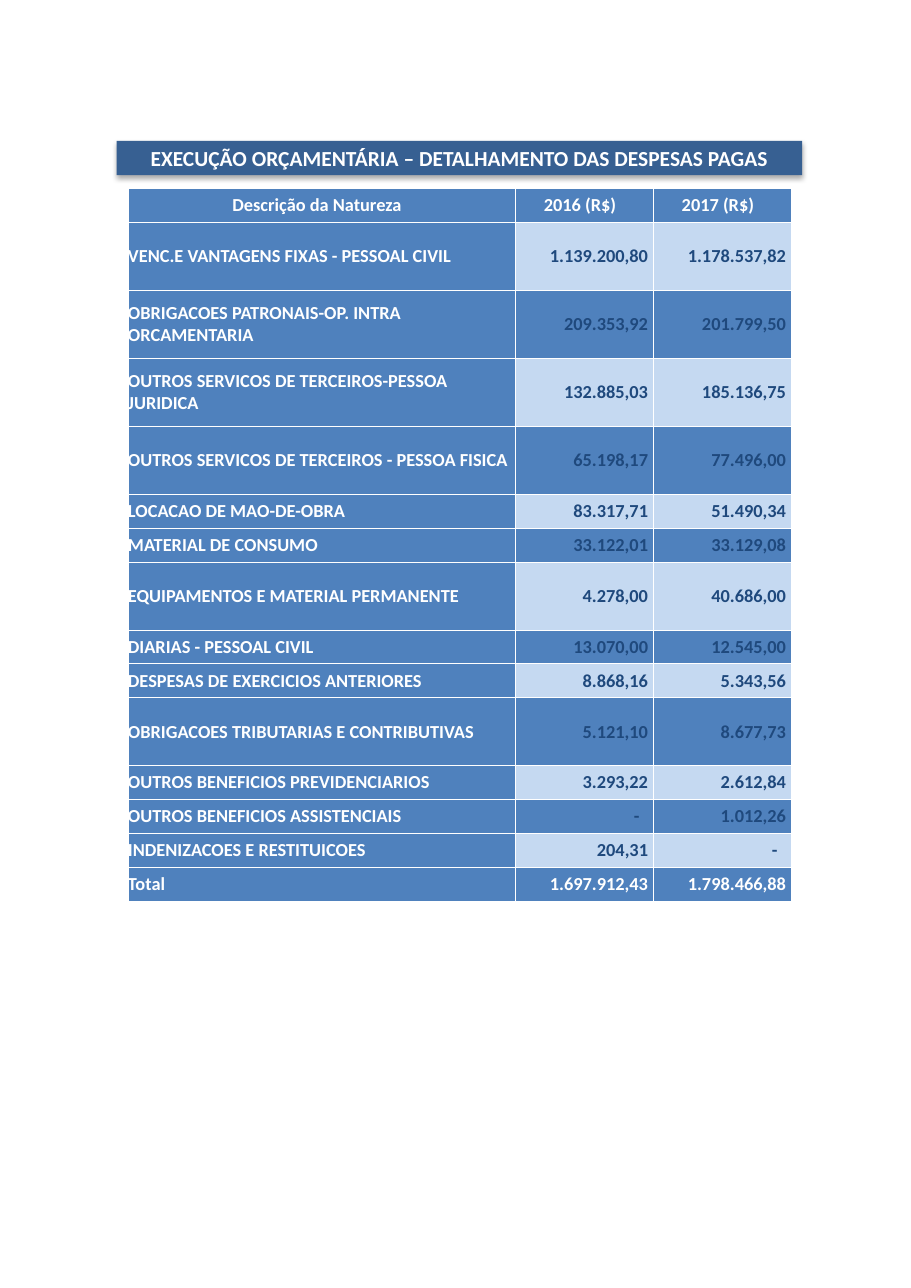
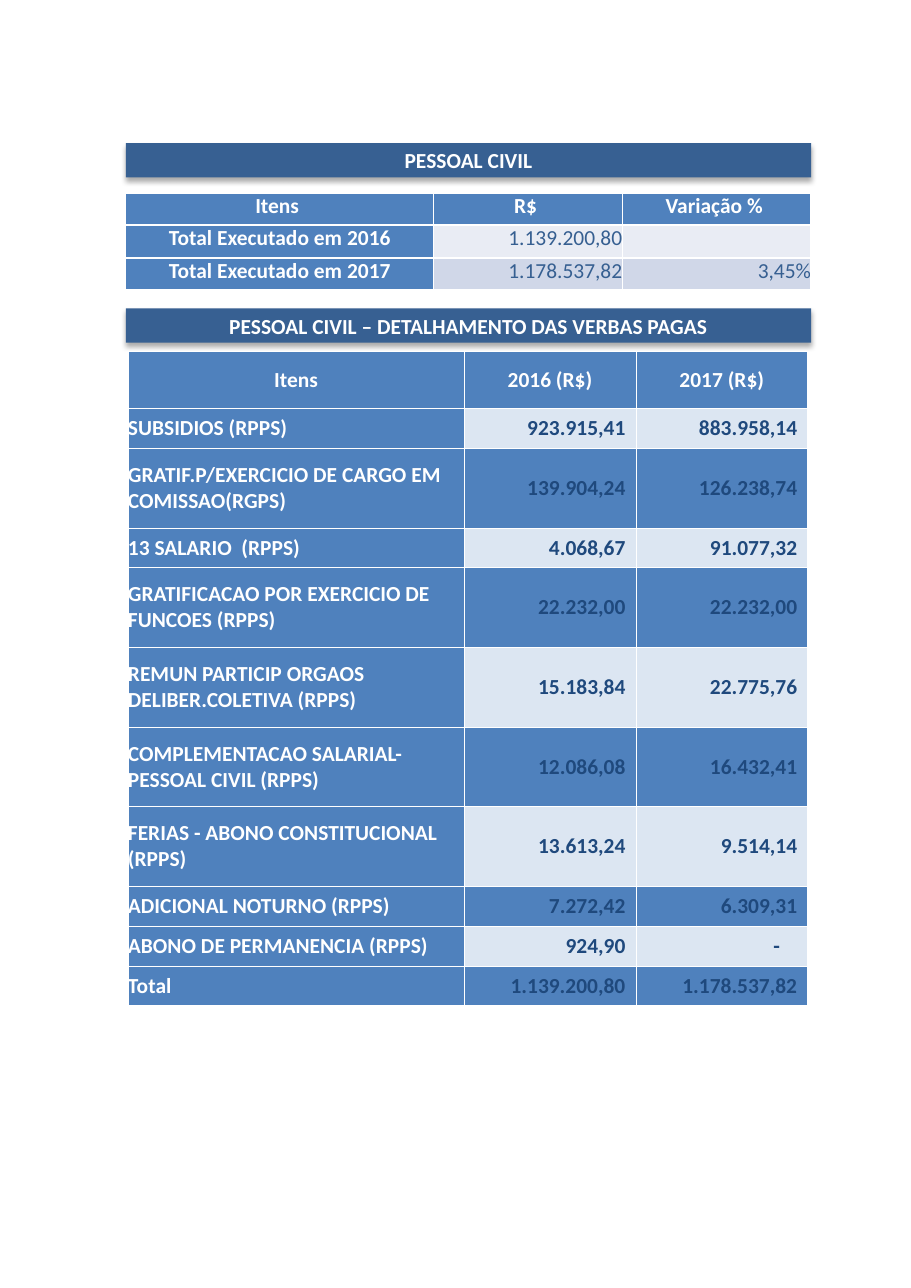
from lxml.etree import SubElement
from pptx import Presentation
from pptx.dml.color import RGBColor
from pptx.enum.shapes import MSO_SHAPE
from pptx.enum.text import MSO_ANCHOR, MSO_AUTO_SIZE, PP_ALIGN
from pptx.oxml import parse_xml
from pptx.oxml.ns import nsdecls, qn
from pptx.util import Cm, Pt

FONT = "Calibri"
WHITE = RGBColor(0xFF, 0xFF, 0xFF)
BAND_BLUE = RGBColor(0x37, 0x60, 0x92)
CELL_BLUE = RGBColor(0x4F, 0x81, 0xBD)
NAVY = RGBColor(0x1F, 0x49, 0x7D)
STEEL = RGBColor(0x36, 0x5F, 0x91)
SKY = RGBColor(0xC5, 0xD9, 0xF1)
PALE = RGBColor(0xDC, 0xE6, 0xF2)
MIST = RGBColor(0xE9, 0xEC, 0xF4)
HAZE = RGBColor(0xD0, 0xD7, 0xE8)

SHADOW = (
    f'<a:effectLst {nsdecls("a")}><a:outerShdw blurRad="44450" dist="27940" dir="5400000" '
    'rotWithShape="0"><a:srgbClr val="000000"><a:alpha val="32000"/></a:srgbClr>'
    "</a:outerShdw></a:effectLst>"
)


def style_band(box, text, left, top):
    """Turn a title or rectangle into a dark blue heading band with a soft shadow."""
    box.left, box.top, box.width, box.height = Cm(left), Cm(top), Cm(15.8), Cm(0.79)
    box.fill.solid()
    box.fill.fore_color.rgb = BAND_BLUE
    box.line.fill.background()
    box._element.spPr.append(parse_xml(SHADOW))
    frame = box.text_frame
    frame.text = text
    frame.word_wrap = True
    frame.auto_size = MSO_AUTO_SIZE.NONE
    frame.vertical_anchor = MSO_ANCHOR.MIDDLE
    para = frame.paragraphs[0]
    para.alignment = PP_ALIGN.CENTER
    font = para.runs[0].font
    font.name, font.size, font.bold, font.color.rgb = FONT, Pt(14), True, WHITE


def add_grid(page, left, top, widths, heights, rows, fills, size=14, number_color=NAVY,
             number_bold=True, number_margin=0.0, dash_margin=0.0, header_margin=0.0,
             label_align=PP_ALIGN.LEFT, anchor=MSO_ANCHOR.MIDDLE, border=0.5):
    """Add a table whose number cells take the body fills in turn."""
    frame = page.shapes.add_table(len(rows), len(widths), Cm(left), Cm(top),
                                  Cm(sum(widths)), Cm(sum(heights)))
    table = frame.table
    for column, width in zip(table.columns, widths):
        column.width = Cm(width)
    for r, (height, values) in enumerate(zip(heights, rows)):
        table.rows[r].height = Cm(height)
        for c, value in enumerate(values):
            is_number = r > 0 and c > 0
            cell = table.cell(r, c)
            cell.fill.solid()
            cell.fill.fore_color.rgb = fills[(r - 1) % len(fills)] if is_number else CELL_BLUE
            cell.vertical_anchor = anchor
            cell.margin_left = cell.margin_top = cell.margin_bottom = 0
            if r == 0:
                margin, align = header_margin, PP_ALIGN.CENTER
            elif is_number:
                margin = dash_margin if value == "-" else number_margin
                align = PP_ALIGN.RIGHT
            else:
                margin, align = 0, label_align
            cell.margin_right = Cm(margin)
            cell.text = value
            para = cell.text_frame.paragraphs[0]
            para.alignment = align
            for span in para.runs:
                span.font.name, span.font.size = FONT, Pt(size)
                span.font.bold = number_bold if is_number else True
                span.font.color.rgb = number_color if is_number else WHITE
            if not value:
                SubElement(para._p, qn("a:endParaRPr")).set("sz", str(size * 100))
            for i, side in enumerate(("lnL", "lnR", "lnT", "lnB")):
                line = parse_xml(
                    f'<a:{side} {nsdecls("a")} w="{Pt(border)}"><a:solidFill>'
                    f'<a:srgbClr val="{WHITE}"/></a:solidFill></a:{side}>')
                cell._tc.get_or_add_tcPr().insert(i, line)
    return table


deck = Presentation()
deck.slide_width, deck.slide_height = Cm(21), Cm(29.7)
title_only = deck.slide_layouts[5]

# Expenses paid, by nature
page = deck.slides.add_slide(title_only)
style_band(page.shapes.title, "EXECUÇÃO ORÇAMENTÁRIA – DETALHAMENTO DAS DESPESAS PAGAS", 2.69, 3.25)
expenses = [
    ("Descrição da Natureza", "2016 (R$)", "2017 (R$)"),
    ("VENC.E VANTAGENS FIXAS - PESSOAL CIVIL", "1.139.200,80", "1.178.537,82"),
    ("OBRIGACOES PATRONAIS-OP. INTRA ORCAMENTARIA", "209.353,92", "201.799,50"),
    ("OUTROS SERVICOS DE TERCEIROS-PESSOA JURIDICA", "132.885,03", "185.136,75"),
    ("OUTROS SERVICOS DE TERCEIROS - PESSOA FISICA", "65.198,17", "77.496,00"),
    ("LOCACAO DE MAO-DE-OBRA", "83.317,71", "51.490,34"),
    ("MATERIAL DE CONSUMO", "33.122,01", "33.129,08"),
    ("EQUIPAMENTOS E MATERIAL PERMANENTE", "4.278,00", "40.686,00"),
    ("DIARIAS - PESSOAL CIVIL", "13.070,00", "12.545,00"),
    ("DESPESAS DE EXERCICIOS ANTERIORES", "8.868,16", "5.343,56"),
    ("OBRIGACOES TRIBUTARIAS E CONTRIBUTIVAS", "5.121,10", "8.677,73"),
    ("OUTROS BENEFICIOS PREVIDENCIARIOS", "3.293,22", "2.612,84"),
    ("OUTROS BENEFICIOS ASSISTENCIAIS", "-", "1.012,26"),
    ("INDENIZACOES E RESTITUICOES", "204,31", "-"),
    ("Total", "1.697.912,43", "1.798.466,88"),
]
tall_rows = {1, 2, 3, 4, 7, 10}
row_unit = 16.46 / (len(expenses) + len(tall_rows))
heights = [row_unit * (2 if r in tall_rows else 1) for r in range(len(expenses))]
table = add_grid(page, 2.95, 4.34, (8.94, 3.18, 3.18), heights, expenses, (SKY, CELL_BLUE), size=12,
                 number_margin=0.13, dash_margin=0.33, header_margin=0.22)
for c in (1, 2):
    total = table.cell(len(expenses) - 1, c).text_frame.paragraphs[0]
    total.runs[0].font.color.rgb = WHITE

# Civil staff: totals and items paid
page = deck.slides.add_slide(title_only)
style_band(page.shapes.title, "PESSOAL CIVIL", 2.9, 3.3)
style_band(page.shapes.add_shape(MSO_SHAPE.RECTANGLE, 0, 0, 0, 0),
           "PESSOAL CIVIL – DETALHAMENTO DAS VERBAS PAGAS", 2.9, 7.11)
totals = [
    ("Itens", "R$", "Variação %"),
    ("Total Executado em 2016", "1.139.200,80", ""),
    ("Total Executado em 2017", "1.178.537,82", "3,45%"),
]
add_grid(page, 2.9, 4.45, (7.1, 4.35, 4.35), (0.74, 0.76, 0.74), totals, (MIST, HAZE),
         number_color=STEEL, number_bold=False, header_margin=0.12,
         label_align=PP_ALIGN.CENTER, anchor=MSO_ANCHOR.TOP, border=1)

items = [
    ("Itens", "2016 (R$)", "2017 (R$)"),
    ("SUBSIDIOS (RPPS)", "923.915,41", "883.958,14"),
    ("GRATIF.P/EXERCICIO DE CARGO EM COMISSAO(RGPS)", "139.904,24", "126.238,74"),
    ("13 SALARIO  (RPPS)", "4.068,67", "91.077,32"),
    ("GRATIFICACAO POR EXERCICIO DE FUNCOES (RPPS)", "22.232,00", "22.232,00"),
    ("REMUN PARTICIP ORGAOS DELIBER.COLETIVA (RPPS)", "15.183,84", "22.775,76"),
    ("COMPLEMENTACAO SALARIAL- PESSOAL CIVIL (RPPS)", "12.086,08", "16.432,41"),
    ("FERIAS - ABONO CONSTITUCIONAL (RPPS)", "13.613,24", "9.514,14"),
    ("ADICIONAL NOTURNO (RPPS)", "7.272,42", "6.309,31"),
    ("ABONO DE PERMANENCIA (RPPS)", "924,90", "-"),
    ("Total", "1.139.200,80", "1.178.537,82"),
]
tall_rows = {2, 4, 5, 6, 7}
row_unit = 13.77 / (len(items) - 1 + len(tall_rows))
heights = [1.32] + [row_unit * (2 if r in tall_rows else 1) for r in range(1, len(items))]
add_grid(page, 2.95, 8.1, (7.75, 3.96, 3.96), heights, items, (PALE, CELL_BLUE),
         number_margin=0.24, dash_margin=0.64)

deck.save("out.pptx")
